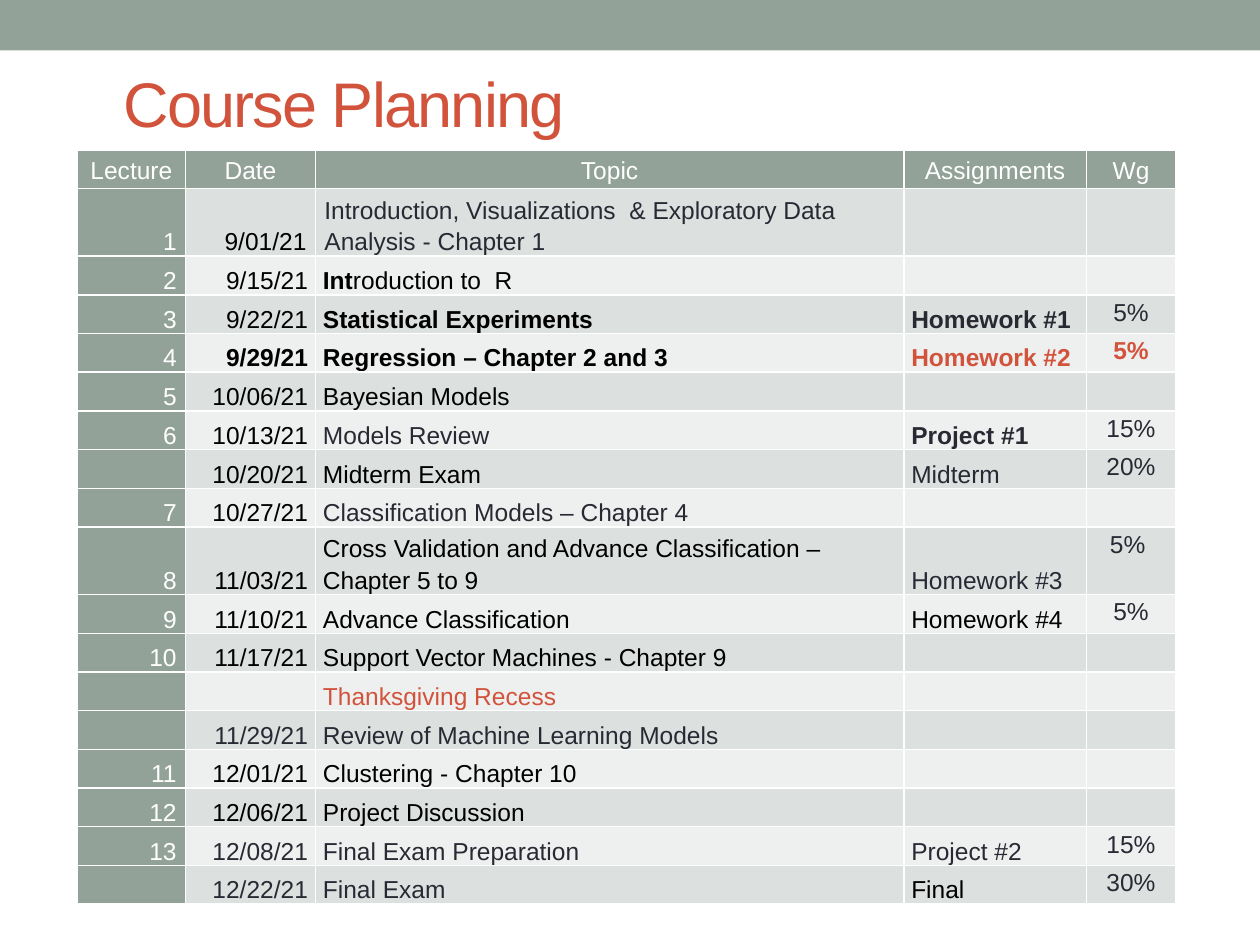
from lxml.etree import SubElement
from pptx import Presentation
from pptx.dml.color import RGBColor
from pptx.enum.shapes import MSO_SHAPE
from pptx.enum.text import MSO_ANCHOR, PP_ALIGN
from pptx.oxml.ns import qn
from pptx.util import Cm, Pt

SAGE, RUST, SLATE, BLACK, WHITE = "93A299", "D2533C", "292934", "000000", "FFFFFF"
BANDS = ("EEF0EF", "DCE0DE")


def rgb(hex_code):
    return RGBColor.from_string(hex_code)


def add_borders(cell):
    """White 1 pt line on each side; call before the cell gets its fill."""
    properties = cell._tc.get_or_add_tcPr()
    for side in ("lnL", "lnR", "lnT", "lnB"):
        line = SubElement(properties, qn(f"a:{side}"), w=str(Pt(1)))
        fill = SubElement(line, qn("a:solidFill"))
        SubElement(fill, qn("a:srgbClr"), val=WHITE)


prs = Presentation()
prs.slide_width, prs.slide_height = Cm(25.4), Cm(19.05)
slide = prs.slides.add_slide(prs.slide_layouts[6])

# Top band
top_band = slide.shapes.add_shape(MSO_SHAPE.RECTANGLE, 0, 0, prs.slide_width, Cm(1.02))
top_band.shadow.inherit = False
top_band.fill.solid()
top_band.fill.fore_color.rgb = rgb(SAGE)
top_band.line.fill.background()

# Title
title = slide.shapes.add_textbox(Cm(2.24), Cm(1.09), Cm(20.96), Cm(1.93)).text_frame
title.word_wrap = True
title.vertical_anchor = MSO_ANCHOR.MIDDLE
title.text = "Course Planning"
title_run = title.paragraphs[0].runs[0]
title_run.font.name, title_run.font.size = "Arial", Pt(36)
title_run.font.color.rgb = rgb(RUST)
title_run._r.get_or_add_rPr().set("spc", "-100")

# Schedule content
schedule = [
    ("Lecture", "Date", "Topic", "Assignments", "Wg"),
    ("1", "9/01/21", "Introduction, Visualizations  & Exploratory Data Analysis - Chapter 1", "", ""),
    ("2", "9/15/21", "Introduction to  R", "", ""),
    ("3", "9/22/21", "Statistical Experiments", "Homework #1", "5%"),
    ("4", "9/29/21", "Regression – Chapter 2 and 3", "Homework #2", "5%"),
    ("5", "10/06/21", "Bayesian Models", "", ""),
    ("6", "10/13/21", "Models Review", "Project #1", "15%"),
    ("", "10/20/21", "Midterm Exam", "Midterm", "20%"),
    ("7", "10/27/21", "Classification Models – Chapter 4", "", ""),
    ("8", "11/03/21", "Cross Validation and Advance Classification – Chapter 5 to 9", "Homework #3", "5% "),
    ("9", "11/10/21", "Advance Classification", "Homework #4 ", "5%"),
    ("10", "11/17/21", "Support Vector Machines - Chapter 9", "", ""),
    ("", "", "Thanksgiving Recess", "", ""),
    ("", "11/29/21", "Review of Machine Learning Models", "", ""),
    ("11", "12/01/21", "Clustering - Chapter 10", "", ""),
    ("12", "12/06/21", "Project Discussion", "", ""),
    ("13", "12/08/21", "Final Exam Preparation", "Project #2", "15%"),
    ("", "12/22/21", "Final Exam", "Final", "30%"),
]
column_widths = (2.18, 2.62, 11.86, 3.68, 1.8)
column_aligns = (PP_ALIGN.RIGHT, PP_ALIGN.RIGHT, PP_ALIGN.LEFT, PP_ALIGN.LEFT, PP_ALIGN.CENTER)
column_inks = (WHITE, BLACK, BLACK, SLATE, SLATE)
two_line_rows = {1, 9}

# Cells that depart from their column's look, as (row, column)
special_inks = {(4, 3): RUST, (4, 4): RUST, (12, 2): RUST, (10, 3): BLACK, (17, 3): BLACK}
special_inks.update({(row, 2): SLATE for row in (1, 6, 8, 13, 16, 17)})
special_inks.update({(row, 1): SLATE for row in (13, 16, 17)})
bold_cells = {(3, 2), (3, 3), (4, 1), (4, 2), (4, 3), (4, 4), (6, 3)}

# Schedule table
row_heights = [1.31 if row in two_line_rows else 0.78 for row in range(len(schedule))]
table = slide.shapes.add_table(
    len(schedule), len(column_widths), Cm(1.56), Cm(3.02),
    Cm(sum(column_widths)), Cm(sum(row_heights))).table
table.horz_banding = False
for column, width in zip(table.columns, column_widths):
    column.width = Cm(width)

for r, entries in enumerate(schedule):
    table.rows[r].height = Cm(row_heights[r])
    for c, entry in enumerate(entries):
        cell = table.cell(r, c)
        is_header = r == 0
        add_borders(cell)
        cell.fill.solid()
        cell.fill.fore_color.rgb = rgb(SAGE if is_header or c == 0 else BANDS[r % 2])
        cell.margin_top = cell.margin_bottom = 0
        cell.margin_left = cell.margin_right = Cm(0.15 if c in (1, 2, 3) and r > 1 else 0.18)
        if not entry:
            continue
        if is_header:
            cell.vertical_anchor = MSO_ANCHOR.MIDDLE
        else:
            cell.vertical_anchor = MSO_ANCHOR.TOP if c == 4 else MSO_ANCHOR.BOTTOM
        cell.text_frame.text = entry
        paragraph = cell.text_frame.paragraphs[0]
        paragraph.alignment = PP_ALIGN.CENTER if is_header else column_aligns[c]
        paragraph.line_spacing = 1.15
        # The topic of lecture 2 opens with three bold letters
        if (r, c) == (2, 2):
            paragraph.runs[0].text = entry[:3]
            paragraph.add_run().text = entry[3:]
        for run in paragraph.runs:
            run.font.name, run.font.size = "Arial", Pt(14)
            run.font.bold = (r, c) in bold_cells or run.text == "Int"
            run.font.color.rgb = rgb(WHITE if is_header else special_inks.get((r, c), column_inks[c]))

prs.save("out.pptx")
